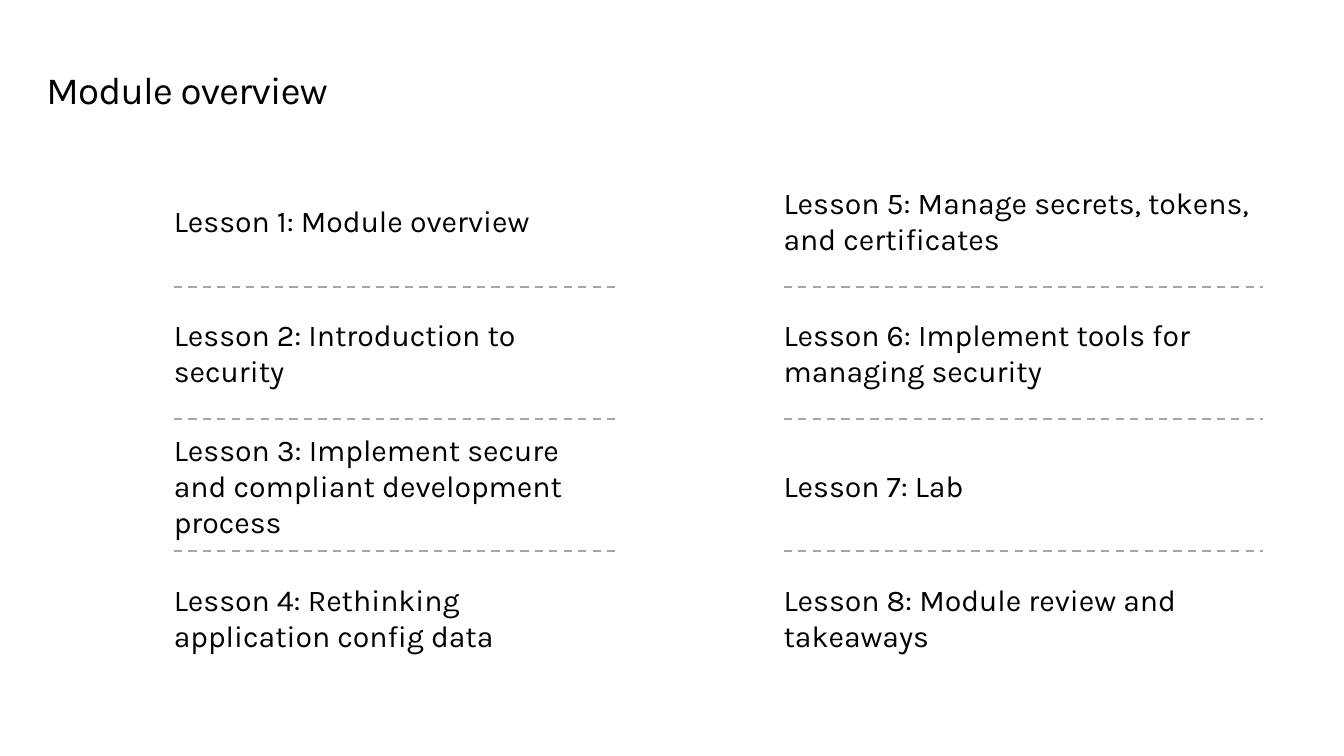
from pptx import Presentation
from pptx.dml.color import RGBColor
from pptx.enum.dml import MSO_LINE_DASH_STYLE as Dash
from pptx.enum.shapes import MSO_CONNECTOR as Link
from pptx.enum.text import MSO_ANCHOR as Anchor
from pptx.oxml.ns import qn
from pptx.util import Inches, Pt

TITLE = "Module overview"
LEFT = [
    ("Lesson 1: Module overview", 1),
    ("Lesson 2: Introduction to security", 2),
    ("Lesson 3: Implement secure and compliant development process", 2),
    ("Lesson 4: Rethinking application config data", 2),
]
RIGHT = [
    ("Lesson 5: Manage secrets, tokens, and certificates", 2),
    ("Lesson 6: Implement tools for managing security", 2),
    ("Lesson 7: Lab", 1),
    ("Lesson 8: Module review and takeaways", 2),
]
COLUMNS = [(1.76, 4.47, 4.5, LEFT), (7.93, 4.85, 4.85, RIGHT)]

FONT = "Karla"
BLACK = RGBColor(0x00, 0x00, 0x00)
GREY = RGBColor(0xA6, 0xA6, 0xA6)
WIDE, HIGH = 13.6, 7.65
FIRST, PITCH, LINE = 2.23, 1.34, 0.37


def add_text(slide, box, text, size, anchor):
    shape = slide.shapes.add_textbox(*map(Inches, box))
    frame = shape.text_frame
    frame.word_wrap = True
    frame.vertical_anchor = anchor
    frame.margin_left = frame.margin_right = 0
    frame.margin_top = frame.margin_bottom = 0
    para = frame.paragraphs[0]
    run = para.add_run()
    run.text = text
    run.font.name = FONT
    run.font.size = Pt(size)
    run.font.color.rgb = BLACK
    return para, run


def add_rule(slide, left, top, width):
    ends = map(Inches, (left, top, left + width, top))
    rule = slide.shapes.add_connector(Link.STRAIGHT, *ends)
    rule.line.color.rgb = GREY
    rule.line.width = Pt(1.5)
    rule.line.dash_style = Dash.DASH
    props = rule._element.spPr
    props.append(props.makeelement(qn("a:effectLst"), {}))


def main():
    """Build the module overview slide with two columns of lessons."""
    deck = Presentation()
    deck.slide_width, deck.slide_height = Inches(WIDE), Inches(HIGH)
    slide = deck.slides.add_slide(deck.slide_layouts[6])

    para, run = add_text(slide, (0.47, 0.69, 12.65, 0.45), TITLE, 28, Anchor.TOP)
    para.line_spacing = Pt(32)
    run._r.get_or_add_rPr().set("spc", "-50")

    for left, width, span, lessons in COLUMNS:
        for row, (text, lines) in enumerate(lessons):
            mid = FIRST + row * PITCH
            tall = lines * LINE
            box = (left, mid - tall / 2, width, tall)
            para, run = add_text(slide, box, text, 22, Anchor.MIDDLE)
            para.space_after = Pt(6)
            if row < len(lessons) - 1:
                add_rule(slide, left, mid + PITCH / 2, span)

    deck.save("out.pptx")


if __name__ == "__main__":
    main()
